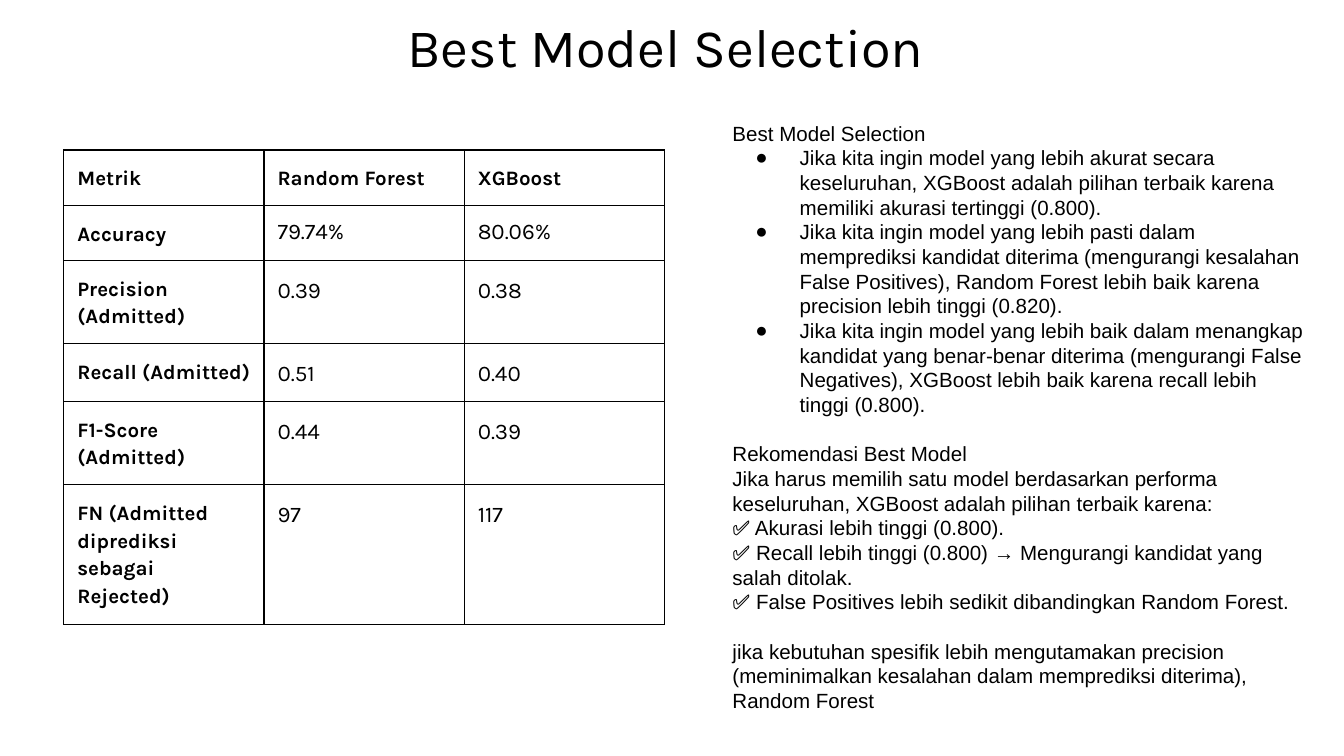
"""Build the model comparison slide: a metric table beside a written recommendation."""
from lxml.etree import SubElement
from pptx import Presentation
from pptx.dml.color import RGBColor
from pptx.enum.text import MSO_ANCHOR, MSO_AUTO_SIZE, PP_ALIGN
from pptx.oxml import parse_xml
from pptx.oxml.ns import nsdecls, qn
from pptx.util import Inches, Pt

BLACK = RGBColor(0, 0, 0)
HEADING_FONT = "Karla"
BODY_FONT = "Arial"
INSET = Inches(0.1)

METRICS = [
    ("Metrik", "Random Forest", "XGBoost"),
    ("Accuracy", "79.74%", "80.06%"),
    ("Precision (Admitted)", "0.39", "0.38"),
    ("Recall (Admitted)", "0.51", "0.40"),
    ("F1-Score (Admitted)", "0.44", "0.39"),
    ("FN (Admitted diprediksi sebagai Rejected)", "97", "117"),
]
ROW_HEIGHTS = [7.3, 7.3, 11, 7.7, 11, 18.5]

SELECTION = [
    "Jika kita ingin model yang lebih akurat secara keseluruhan, XGBoost adalah "
    "pilihan terbaik karena memiliki akurasi tertinggi (0.800).",
    "Jika kita ingin model yang lebih pasti dalam memprediksi kandidat diterima "
    "(mengurangi kesalahan False Positives), Random Forest lebih baik karena "
    "precision lebih tinggi (0.820).",
    "Jika kita ingin model yang lebih baik dalam menangkap kandidat yang "
    "benar-benar diterima (mengurangi False Negatives), XGBoost lebih baik karena "
    "recall lebih tinggi (0.800).",
]
RECOMMENDATION = [
    "Rekomendasi Best Model",
    "Jika harus memilih satu model berdasarkan performa keseluruhan, XGBoost "
    "adalah pilihan terbaik karena:",
    "✅ Akurasi lebih tinggi (0.800).",
    "✅ Recall lebih tinggi (0.800) → Mengurangi kandidat yang salah ditolak.",
    "✅ False Positives lebih sedikit dibandingkan Random Forest.",
]
CLOSING = (
    "jika kebutuhan spesifik lebih mengutamakan precision (meminimalkan kesalahan "
    "dalam memprediksi diterima), Random Forest"
)


class SlideBuilder:
    """Hold the style and the current slide; lengths are percentages of the slide."""

    def __init__(self, presentation):
        self.width = presentation.slide_width
        self.height = presentation.slide_height
        self.slide = presentation.slides.add_slide(presentation.slide_layouts[1])

    def across(self, percent):
        return round(self.width * percent / 100)

    def down(self, percent):
        return round(self.height * percent / 100)

    def place(self, shape, left, top, width, height):
        shape.left, shape.top = self.across(left), self.down(top)
        shape.width, shape.height = self.across(width), self.down(height)
        frame = shape.text_frame
        frame.margin_left = frame.margin_right = INSET
        frame.margin_top = frame.margin_bottom = INSET
        frame.vertical_anchor = MSO_ANCHOR.TOP
        frame.auto_size = MSO_AUTO_SIZE.NONE
        frame.word_wrap = True
        return frame

    def format_runs(self, paragraph, font, size, bold=False):
        for run in paragraph.runs:
            run.font.name = font
            run.font.size = Pt(size)
            run.font.bold = bold
            run.font.color.rgb = BLACK

    def title(self, text, *box):
        frame = self.place(self.slide.shapes.title, *box)
        frame.text = text
        paragraph = frame.paragraphs[0]
        paragraph.alignment = PP_ALIGN.CENTER
        self.format_runs(paragraph, HEADING_FONT, 29)

    def body(self, items, *box):
        frame = self.place(self.slide.placeholders[1], *box)
        frame.text = "\n".join(text for text, _, _ in items)
        for paragraph, (_, bulleted, gap) in zip(frame.paragraphs, items):
            paragraph.space_before = Pt(gap)
            self.format_runs(paragraph, BODY_FONT, 11)
            self.bullet(paragraph, bulleted)

    def bullet(self, paragraph, bulleted):
        properties = paragraph._p.get_or_add_pPr()
        properties.set("marL", str(Inches(0.5 if bulleted else 0)))
        properties.set("indent", str(Inches(-0.33 if bulleted else 0)))
        if bulleted:
            SubElement(properties, qn("a:buFont"), typeface=BODY_FONT)
            SubElement(properties, qn("a:buChar"), char="●")
        else:
            SubElement(properties, qn("a:buNone"))

    def table(self, rows, left, top, column_width, row_heights):
        columns = len(rows[0])
        table = self.slide.shapes.add_table(
            len(rows), columns, self.across(left), self.down(top),
            self.across(column_width * columns), self.down(sum(row_heights)),
        ).table
        for column in table.columns:
            column.width = self.across(column_width)
        for row_index, (values, height) in enumerate(zip(rows, row_heights)):
            table.rows[row_index].height = self.down(height)
            for column_index, value in enumerate(values):
                heading = row_index == 0 or column_index == 0
                spacing = 1 if row_index == 1 and not heading else 1.15
                self.cell(table.cell(row_index, column_index), value, heading, spacing)

    def cell(self, cell, value, heading, spacing):
        cell.margin_left = cell.margin_right = INSET
        cell.margin_top = cell.margin_bottom = INSET
        cell.text = value
        paragraph = cell.text_frame.paragraphs[0]
        paragraph.line_spacing = spacing
        self.format_runs(paragraph, HEADING_FONT, 11 if heading else 12, heading)
        cell.fill.background()
        properties = cell._tc.get_or_add_tcPr()
        for index, side in enumerate("LRTB"):
            properties.insert(index, parse_xml(
                f'<a:ln{side} w="{Pt(0.75)}" {nsdecls("a")}><a:solidFill>'
                f'<a:srgbClr val="{BLACK}"/></a:solidFill></a:ln{side}>'
            ))


def main():
    presentation = Presentation()
    presentation.slide_width = Inches(10)
    presentation.slide_height = Inches(10) * 9 // 16
    builder = SlideBuilder(presentation)
    builder.title("Best Model Selection", 27.9, 0, 43.3, 12.6)
    builder.table(METRICS, 4.75, 19.85, 14.9, ROW_HEIGHTS)
    line = 13.2
    items = [("Best Model Selection", False, 0)]
    items += [(text, True, 0) for text in SELECTION]
    items += [(text, False, 0 if index else line)
              for index, text in enumerate(RECOMMENDATION)]
    items.append((CLOSING, False, line))
    builder.body(items, 53.5, 14.2, 44.7, 82.7)
    presentation.save("out.pptx")


if __name__ == "__main__":
    main()
